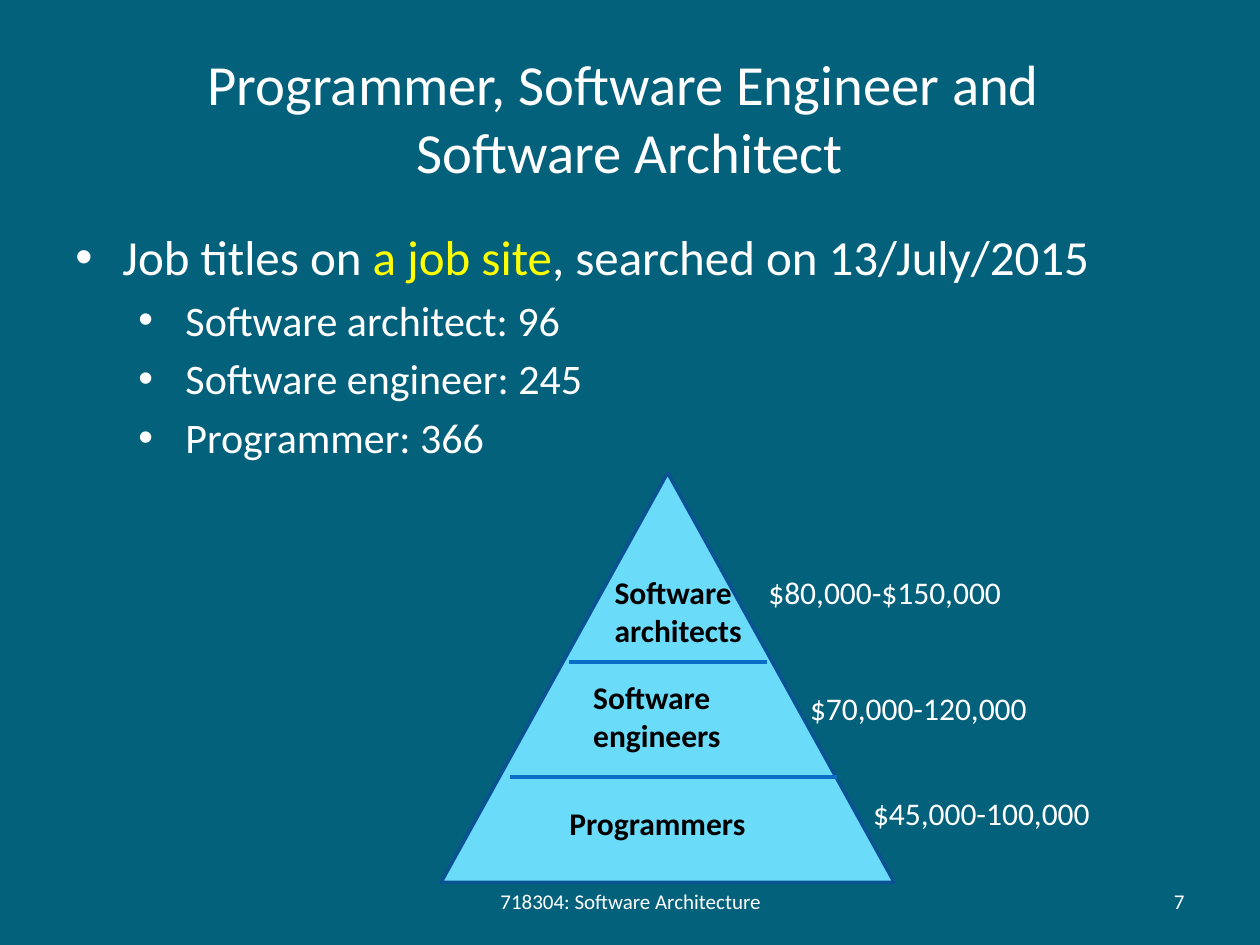
"""Build a slide on software job titles with a salary pyramid."""
from pptx import Presentation
from pptx.dml.color import RGBColor as RGB
from pptx.enum.shapes import MSO_CONNECTOR as LINK, MSO_SHAPE as SHAPE
from pptx.enum.text import MSO_ANCHOR as ANCHOR, MSO_AUTO_SIZE as FIT, PP_ALIGN as ALIGN
from pptx.oxml.ns import qn
from pptx.util import Cm, Pt
from lxml.etree import SubElement as Sub

COLORS = {"back": "04617B", "text": "FFFFFF", "site": "FFFF00", "label": "000000",
          "fill": "6BDBFA", "edge": "0B5292", "rule": "0A6DC6"}


def style(run, size, color="text", bold=False):
    """Set the font of a run."""
    for name, value in {"name": "Calibri", "size": Pt(size), "bold": bold}.items():
        setattr(run.font, name, value)
    run.font.color.rgb = RGB.from_string(COLORS[color])


def write(shapes, box, lines, size, color="text", bold=False, align=ALIGN.LEFT, anchor=ANCHOR.TOP):
    """Add a text box with one paragraph for each line."""
    frame = shapes.add_textbox(*map(Cm, box)).text_frame
    for name, value in {"word_wrap": True, "vertical_anchor": anchor}.items():
        setattr(frame, name, value)
    for i, line in enumerate(lines):
        para = frame.add_paragraph() if i else frame.paragraphs[0]
        para.alignment = align
        run = para.add_run()
        run.text = line
        style(run, size, color, bold)


deck = Presentation()
deck.slide_width, deck.slide_height = Cm(25.4), Cm(19.05)
slide = deck.slides.add_slide(deck.slide_layouts[5])
shapes = slide.shapes
slide.background.fill.solid()
slide.background.fill.fore_color.rgb = RGB.from_string(COLORS["back"])

title = shapes.title
for name, value in {"left": 1.27, "top": 0.76, "width": 22.86, "height": 3.18}.items():
    setattr(title, name, Cm(value))
title.text_frame.text = "Programmer, Software Engineer and \vSoftware Architect"
for name, value in {"auto_size": FIT.NONE, "vertical_anchor": ANCHOR.MIDDLE}.items():
    setattr(title.text_frame, name, value)
title.text_frame.paragraphs[0].alignment = ALIGN.CENTER
for run in title.text_frame.paragraphs[0].runs:
    style(run, 32.4)

jobs = [
    (0, 28, [("Job titles on ", "text"), ("a job site", "site"),
             (", searched on 13/July/2015", "text")]),
    (1, 24, [("Software architect: 96", "text")]),
    (1, 24, [("Software engineer: 245", "text")]),
    (1, 24, [("Programmer: 366", "text")]),
]
body = shapes.add_textbox(Cm(1.27), Cm(4.45), Cm(23.29), Cm(12.57)).text_frame
body.word_wrap = True
for i, (level, size, parts) in enumerate(jobs):
    para = body.add_paragraph() if i else body.paragraphs[0]
    para.level = level
    para.space_before = Pt(size * 0.2)
    props = para._p.get_or_add_pPr()
    props.set("marL", str(Cm(0.95 + 1.27 * level)))
    props.set("indent", str(Cm(-0.95)))
    Sub(props, qn("a:buFont")).set("typeface", "Arial")
    Sub(props, qn("a:buChar")).set("char", "•")
    for words, color in parts:
        run = para.add_run()
        run.text = words
        style(run, size, color)

write(shapes, (8.69, 17.65, 8.05, 1.02), ["718304: Software Architecture"], 12,
      align=ALIGN.CENTER, anchor=ANCHOR.MIDDLE)
write(shapes, (18.21, 17.65, 5.92, 1.02), ["7"], 12, align=ALIGN.RIGHT, anchor=ANCHOR.MIDDLE)

group = shapes.add_group_shape().shapes
cone = group.add_shape(SHAPE.ISOSCELES_TRIANGLE, Cm(8.89), Cm(9.53), Cm(9.14), Cm(8.26))
cone.shadow.inherit = False
cone.fill.solid()
cone.fill.fore_color.rgb = RGB.from_string(COLORS["fill"])
cone.line.color.rgb = RGB.from_string(COLORS["edge"])
cone.line.width = Pt(2)

for left, right, top in [(10.29, 16.87, 15.67), (11.48, 15.47, 13.34)]:
    rule = group.add_connector(LINK.STRAIGHT, Cm(left), Cm(top), Cm(right), Cm(top))
    rule.line.color.rgb = RGB.from_string(COLORS["rule"])
    rule.line.width = Pt(2.25)
    Sub(rule._element.spPr, qn("a:effectLst"))

tiers = [
    ((12.14, 11.43, 3.53, 1.8), ["Software", "architects"]),
    ((11.71, 13.54, 3.53, 1.8), ["Software", "engineers"]),
    ((11.23, 16.08, 4.85, 1.02), ["Programmers"]),
]
for box, lines in tiers:
    write(group, box, lines, 18, "label", True)

wages = [
    ((15.24, 11.43, 6.78, 1.02), "$80,000-$150,000"),
    ((16.08, 13.77, 5.28, 1.02), "$70,000-120,000"),
    ((17.35, 15.88, 5.28, 1.02), "$45,000-100,000"),
]
for box, wage in wages:
    write(shapes, box, [wage], 18)

deck.save("out.pptx")
